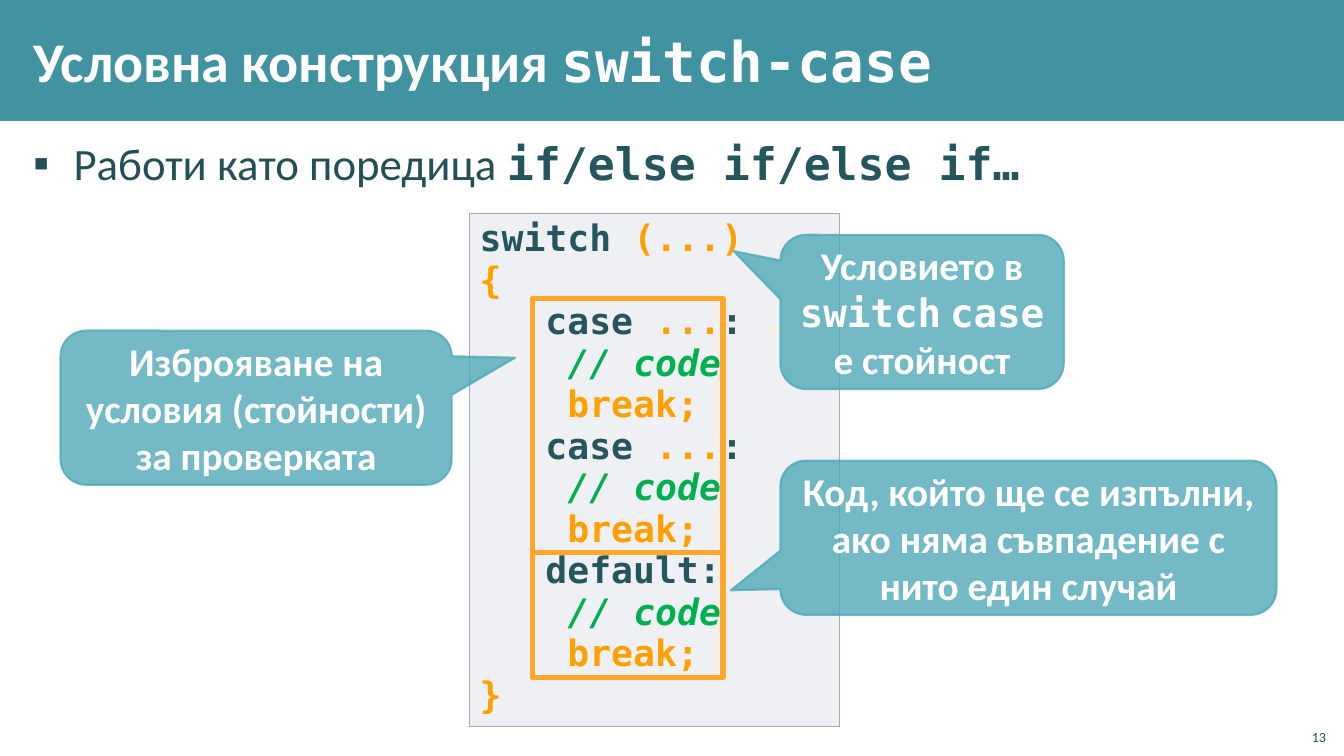
import pptx
import pptx.dml.color
import pptx.enum.shapes
import pptx.enum.text
import pptx.oxml.ns
import pptx.util
from lxml import etree

Inches, Pt = pptx.util.Inches, pptx.util.Pt
SHAPE = pptx.enum.shapes.MSO_SHAPE
ALIGN = pptx.enum.text.PP_ALIGN
ANCHOR = pptx.enum.text.MSO_ANCHOR
SANS, MONO = "Calibri", "DejaVu Sans Mono"
COLORS = {
    "band": "4193A1", "white": "FFFFFF", "text": "235057", "dark": "25565E",
    "panel": "C2C7D2", "panel_edge": "A3ABBC", "callout": "50A9B8",
    "orange": "FFA000", "frame": "FFA72A", "green": "00B050", "faint": "FBEEDC",
}


def rgb(name):
    """Return the named palette colour."""
    return pptx.dml.color.RGBColor.from_string(COLORS[name])


def add_xml(parent, tag, **attributes):
    """Append a DrawingML element to its parent."""
    return etree.SubElement(parent, pptx.oxml.ns.qn(tag), attributes)


def paint(color_format, name, opacity=100):
    """Set a solid fill to a colour and an opacity in percent."""
    color_format.solid()
    color_format.fore_color.rgb = rgb(name)
    if opacity < 100:
        color = color_format.fore_color._xFill.find(pptx.oxml.ns.qn("a:srgbClr"))
        add_xml(color, "a:alpha", val=str(opacity * 1000))


def write(frame, paragraphs, size, color, font=SANS, bold=False, align=ALIGN.LEFT,
          anchor=ANCHOR.TOP, inset=(0.1, 0.05), spacing=None, around=0, bullet=None):
    """Fill a text frame; each run is a text and its own format overrides."""
    frame.word_wrap = True
    frame.vertical_anchor = anchor
    frame.margin_left = frame.margin_right = Inches(inset[0])
    frame.margin_top = frame.margin_bottom = Inches(inset[1])
    for number, runs in enumerate(paragraphs):
        paragraph = frame.add_paragraph() if number else frame.paragraphs[0]
        paragraph.alignment = align
        if spacing:
            paragraph.line_spacing = spacing
        if around:
            paragraph.space_after = Pt(around)
        if bullet:
            properties = paragraph._p.get_or_add_pPr()
            properties.set("marL", str(Inches(0.4)))
            properties.set("indent", str(-Inches(0.4)))
            add_xml(properties, "a:buFont", typeface="Calibri")
            add_xml(properties, "a:buChar", char=bullet)
        for text, override in runs:
            run = paragraph.add_run()
            run.text = text
            run.font.size = Pt(size)
            run.font.name = override.get("font", font)
            run.font.bold = override.get("bold", bold)
            run.font.italic = override.get("italic", False)
            run.font.color.rgb = rgb(override.get("color", color))


def add_text(slide, box, paragraphs, **style):
    """Add a text box at a box given in inches."""
    write(slide.shapes.add_textbox(*map(Inches, box)).text_frame, paragraphs, **style)


def add_box(slide, kind, box, fill=None, line=None, width=1, opacity=100, line_opacity=100):
    """Add a flat preset shape at a box given in inches."""
    shape = slide.shapes.add_shape(kind, *map(Inches, box))
    shape.shadow.inherit = False
    if fill:
        paint(shape.fill, fill, opacity)
    else:
        shape.fill.background()
    if line:
        paint(shape.line.fill, line, line_opacity)
        shape.line.width = Pt(width)
    else:
        shape.line.fill.background()
    return shape


def add_header(slide, box):
    """Add the title band and the title."""
    left, top, width, height = box
    add_box(slide, SHAPE.RECTANGLE, box, fill="band")
    title = [[("Условна конструкция ", {}), ("switch-case", {"font": MONO})]]
    add_text(slide, (left + 0.21, top + 0.11, 10.71, height - 0.23), title, size=40,
             color="white", bold=True, anchor=ANCHOR.MIDDLE, inset=(0.12, 0.04))


def add_summary(slide, box):
    """Add the bulleted summary line."""
    summary = [[("Работи като поредица ", {}),
                ("if/else if/else if…", {"font": MONO, "color": "dark", "bold": True})]]
    add_text(slide, box, summary, size=32, color="text", inset=(0.12, 0.04),
             around=6, bullet="▪")


def add_code(slide, box):
    """Add the code panel."""
    dark, faint = {"color": "dark"}, {"color": "faint"}
    body = [[("    ", {}), ("// code", {"color": "green", "italic": True})],
            [("    break;", {})]]
    case = [("   case", dark), (" ...", {}), (":", dark)]
    listing = [
        [("switch ", dark), ("(...)", {})],
        [("{", {})],
        case + [(" …:", faint)], *body,
        case, *body,
        [("   default:", dark), (":", faint)], *body,
        [("}", {})],
    ]
    panel = add_box(slide, SHAPE.RECTANGLE, box, fill="panel", line="panel_edge", opacity=25)
    write(panel.text_frame, listing, size=26, color="orange", font=MONO, bold=True, spacing=0.95)


def add_frames(slide, box, heights):
    """Stack the highlight frames downwards from the top of the box."""
    left, top, width = box
    for height in heights:
        add_box(slide, SHAPE.RECTANGLE, (left, top, width, height), line="frame", width=4)
        top += height


def add_callout(slide, box, tip, runs):
    """Add a translucent callout whose tip is relative to its size."""
    callout = add_box(slide, SHAPE.ROUNDED_RECTANGULAR_CALLOUT, box, fill="callout",
                      line="callout", width=1.5, opacity=80, line_opacity=80)
    callout.adjustments[0], callout.adjustments[1] = tip
    callout.adjustments[2] = 0.167
    write(callout.text_frame, [runs], size=28, color="white", bold=True,
          align=ALIGN.CENTER, anchor=ANCHOR.MIDDLE)


def main():
    """Build and save the slide."""
    deck = pptx.Presentation()
    deck.slide_width, deck.slide_height = Inches(13.33), Inches(7.5)
    slide = deck.slides.add_slide(deck.slide_layouts[6])
    mono = {"font": MONO}
    add_header(slide, (0, 0, 13.33, 1.2))
    add_summary(slide, (0.21, 1.31, 12.92, 0.75))
    add_code(slide, (4.66, 2.12, 3.67, 5.09))
    add_callout(slide, (7.74, 2.33, 2.81, 1.53), (-0.665, -0.394),
                [("Условието в ", {}), ("switch", mono), (" ", {}), ("case", mono),
                 (" е стойност", {})])
    add_callout(slide, (0.6, 3.28, 3.88, 1.53), (0.662, -0.324),
                [("Изброяване на условия (стойности) за проверката", {})])
    add_frames(slide, (5.28, 2.96, 1.89), (2.52, 1.24))
    add_callout(slide, (7.74, 4.57, 4.92, 1.53), (-0.6, 0.341),
                [("Код, който ще се изпълни, ако няма съвпадение с нито един случай", {})])
    add_text(slide, (12.85, 7.12, 0.4, 0.32), [[("13", {})]], size=10, color="text",
             align=ALIGN.RIGHT, anchor=ANCHOR.BOTTOM)
    deck.save("out.pptx")


if __name__ == "__main__":
    main()
